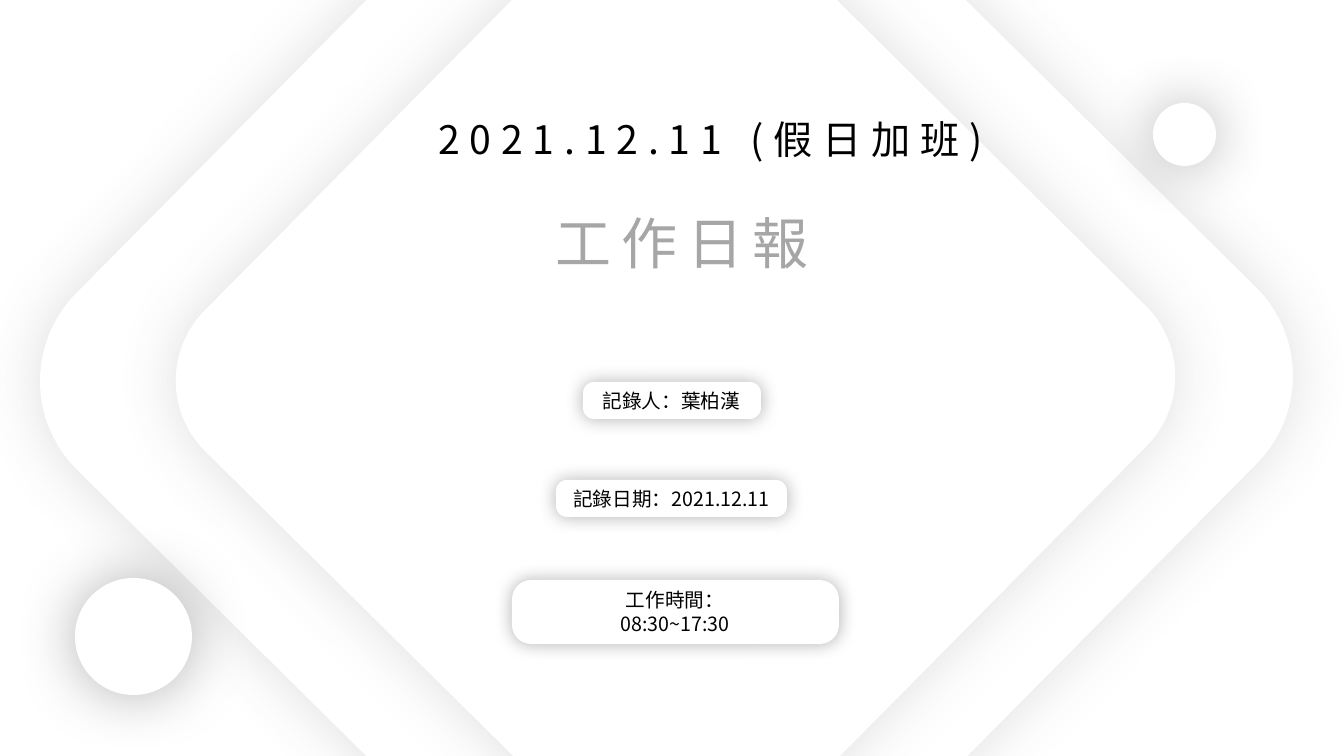
from lxml import etree
from pptx import Presentation
from pptx import util as u
from pptx.dml import color
from pptx.enum import shapes, text
from pptx.oxml import ns

FONT = "Noto Sans CJK SC"
WHITE, BLACK, GREY, SHADE = "FFFFFF", "000000", "A6A6A6", "595959"
RECT = shapes.MSO_SHAPE.ROUNDED_RECTANGLE
OVAL = shapes.MSO_SHAPE.OVAL


def px(n):
    return u.Emu(round(n * 914400 / 100.8))


def rgb(value):
    return color.RGBColor.from_string(value)


class Deck:
    def __init__(self, width, height):
        self.prs = Presentation()
        self.prs.slide_width, self.prs.slide_height = px(width), px(height)
        self.s = self.prs.slides.add_slide(self.prs.slide_layouts[5])
        self.s.background.fill.solid()
        self.s.background.fill.fore_color.rgb = rgb(WHITE)

    def shape(self, kind, box, shade, alpha, blur, radius=None, rotation=0, parent=None):
        sp = (parent or self.s).shapes.add_shape(kind, *map(px, box))
        sp.rotation = rotation
        if radius is not None:
            sp.adjustments[0] = radius
        sp.fill.solid()
        sp.fill.fore_color.rgb = rgb(WHITE)
        sp.line.fill.background()
        sp.shadow.inherit = False
        effects = sp.element.spPr.find(ns.qn("a:effectLst"))
        shadow = etree.SubElement(effects, ns.qn("a:outerShdw"), blurRad=str(u.Pt(blur)),
                                  dist="0", dir="0", algn="ctr", rotWithShape="0")
        clr = etree.SubElement(shadow, ns.qn("a:srgbClr"), val=shade)
        etree.SubElement(clr, ns.qn("a:alpha"), val=str(alpha * 1000))

    def set_text(self, sp, words, size, fill=BLACK, spacing=0):
        tf = sp.text_frame
        tf.text = words
        tf.word_wrap = True
        tf.auto_size = text.MSO_AUTO_SIZE.SHAPE_TO_FIT_TEXT
        tf.vertical_anchor = text.MSO_ANCHOR.TOP
        for p in tf.paragraphs:
            p.alignment = text.PP_ALIGN.CENTER
            for r in p.runs:
                r.font.size = u.Pt(size)
                r.font.name = FONT
                r.font.color.rgb = rgb(fill)
                rPr = r.font._element
                rPr.set("spc", str(spacing * 100))
                etree.SubElement(rPr, ns.qn("a:ea"), typeface=FONT)

    def label(self, box, words, size, spacing=0, parent=None):
        sp = (parent or self.s).shapes.add_textbox(*map(px, box))
        self.set_text(sp, words, size, spacing=spacing)

    def title(self, box, words, size, fill, spacing):
        sp = self.s.shapes.title
        sp.left, sp.top, sp.width, sp.height = map(px, box)
        self.set_text(sp, words, size, fill, spacing)
        sp.element.getparent().append(sp.element)

    def tag(self, box, text_box, words):
        group = self.s.shapes.add_group_shape()
        self.shape(RECT, box, BLACK, 30, 13, radius=0.3, parent=group)
        self.label(text_box, words, 14, parent=group)


def main():
    deck = Deck(1344, 756)
    for left, top, side in ((187, -101, 959), (293, -4, 765)):
        deck.shape(RECT, (left, top, side, side), SHADE, 19, 43, radius=0.13, rotation=44.7)
    deck.label((268, 110, 885, 57), "2021.12.11 (假日加班)", 28, spacing=7)
    deck.title((443, 203, 479, 78), "工作日報", 40, GREY, 7)
    for left, top, side in ((75, 578, 117), (1153, 103, 63)):
        deck.shape(OVAL, (left, top, side, side), BLACK, 30, 43)
    tags = (
        ((583, 382, 178, 37), (566, 384, 211, 34), "記錄人：葉柏漢"),
        ((556, 480, 231, 37), (550, 482, 243, 34), "記錄日期：2021.12.11"),
        ((512, 580, 327, 64), (503, 583, 344, 58), "工作時間：\n08:30~17:30"),
    )
    for box, text_box, words in tags:
        deck.tag(box, text_box, words)
    deck.prs.save("out.pptx")


if __name__ == "__main__":
    main()
